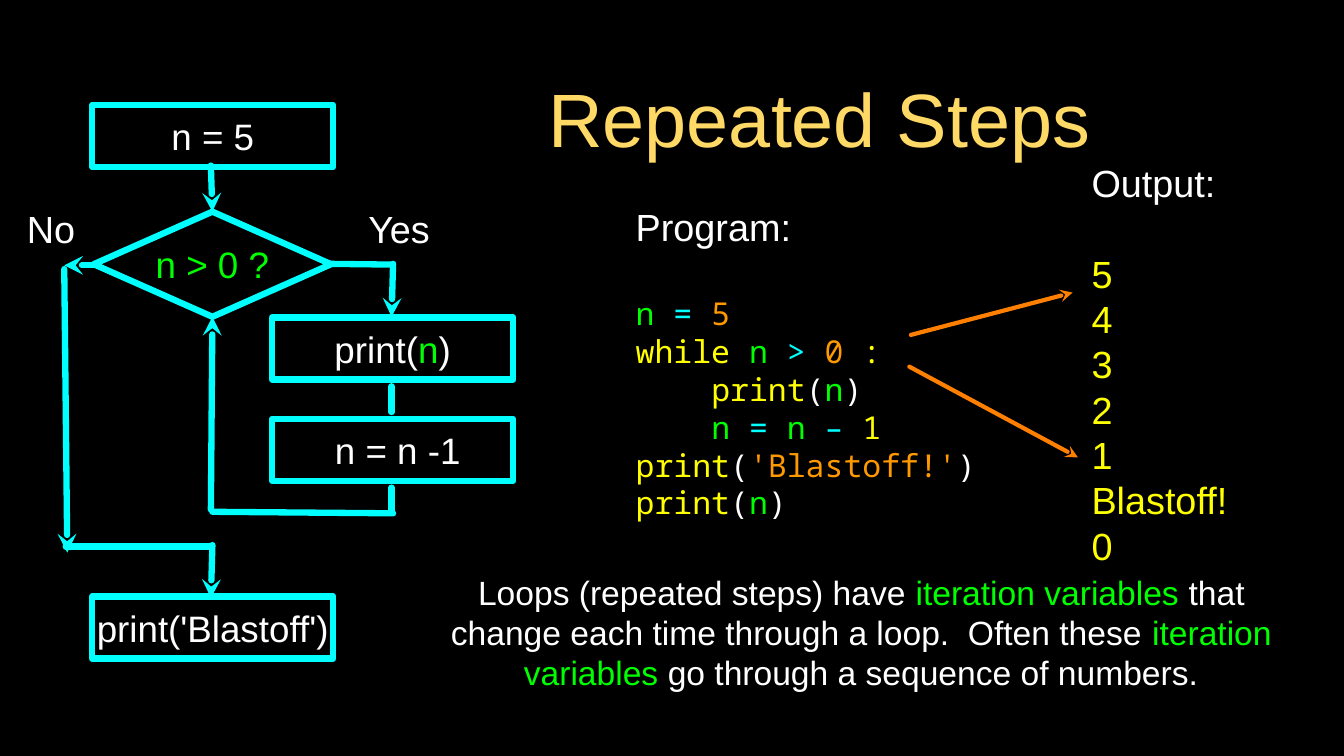
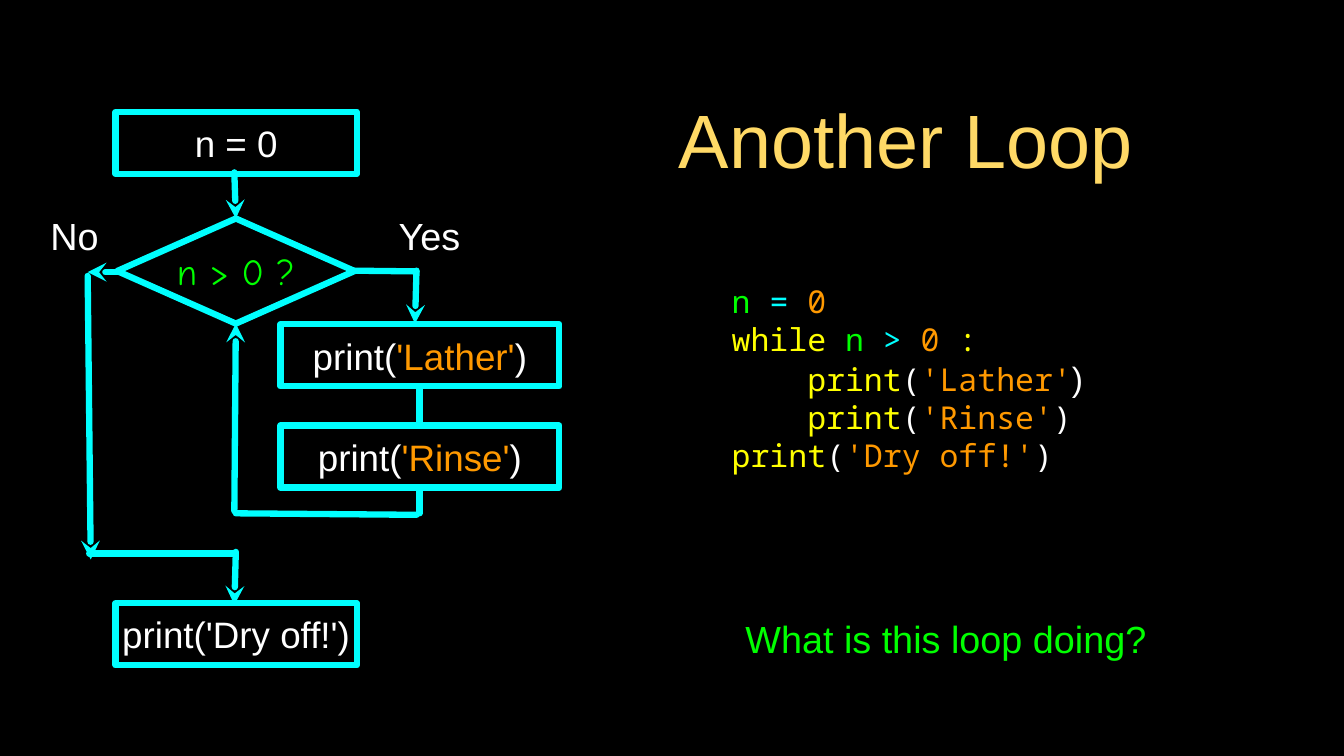
from lxml import etree
from pptx import Presentation, util as u
from pptx.dml.color import RGBColor
from pptx.enum import shapes, text
from pptx.oxml.ns import qn

COLORS = {
    "black": "000000", "white": "FFFFFF", "gold": "FFD966",
    "green": "00FF00", "cyan": "00FFFF", "orange": "FF9900",
    "yellow": "FFFF00", "pointer": "FF7F00",
}
# The slide is a grid of square cells, a tenth of an inch each.
COLUMNS, ROWS, CELL = 177.8, 100, u.Inches(0.1)
SANS, MONO, COMIC = "Arial", "Noto Sans Mono", "Comic Neue"
LEADING = 1.2
CENTER, LEFT = text.PP_ALIGN.CENTER, text.PP_ALIGN.LEFT
BOX, DIAMOND = shapes.MSO_SHAPE.RECTANGLE, shapes.MSO_SHAPE.DIAMOND


def cells(*lengths):
    """Turn grid lengths into slide lengths."""
    return [round(length * CELL) for length in lengths]


def color(name):
    """Look up a colour by name."""
    return RGBColor.from_string(COLORS[name])


def assign(target, **values):
    """Set several attributes of one object."""
    for name, value in values.items():
        setattr(target, name, value)


def style_line(line, name, width, arrow=False):
    """Give a line its colour, width, round joins and an optional arrowhead."""
    line.color.rgb = color(name)
    line.width = u.Pt(width)
    outline = line._ln
    outline.set("cap", "rnd")
    etree.SubElement(outline, qn("a:round"))
    if arrow:
        etree.SubElement(outline, qn("a:tailEnd"), type="stealth")


def write(shape, lines, size, font=SANS, align=CENTER, wrap=True, before=0):
    """Write lines of '[colour]words'; a leading tab indents a line."""
    frame = shape.text_frame
    assign(frame, word_wrap=wrap, vertical_anchor=text.MSO_ANCHOR.MIDDLE,
           margin_left=0, margin_right=0, margin_top=0, margin_bottom=0)
    for number, line in enumerate(lines):
        if number == 0:
            para = frame.paragraphs[0]
        else:
            para = frame.add_paragraph()
        add_line(para, line, size, font, align)
        if number == 1 and before:
            para.space_before = u.Pt(before)


def add_line(para, line, size, font, align):
    """Fill one paragraph with coloured spans."""
    assign(para, alignment=align, line_spacing=u.Pt(size * LEADING))
    if line.startswith("\t"):
        para._p.get_or_add_pPr().set("marL", str(u.Inches(1)))
    for part in line.split("[")[1:]:
        name, words = part.split("]")
        span = para.add_run()
        span.text = words
        assign(span.font, size=u.Pt(size), name=font)
        span.font.color.rgb = color(name)


def add_text(page, area, lines, size, **formats):
    """Place a text box."""
    box = page.shapes.add_textbox(*cells(*area))
    write(box, lines, size, **formats)
    return box


def add_step(page, kind, area, line, font=SANS):
    """Place an outlined flowchart step."""
    step = page.shapes.add_shape(kind, *cells(*area))
    step.shadow.inherit = False
    step.fill.background()
    style_line(step.line, "cyan", 6)
    write(step, [line], 35, font=font, wrap=False)


def add_link(page, start, end, arrow=False, name="cyan", width=6):
    """Draw a line, with an arrowhead at its end if asked."""
    link = page.shapes.add_connector(
        shapes.MSO_CONNECTOR.STRAIGHT, *cells(*start, *end))
    style_line(link.line, name, width, arrow)
    etree.SubElement(link._element.spPr, qn("a:effectLst"))


def add_title(page, area, words):
    """Place the slide title."""
    add_text(page, area, ["[gold]" + words], 72)


def add_flowchart(page, left, top, labels, steps, yes_width, turn, gap=0,
                  test_font=SANS):
    """Draw a while loop as a flowchart whose corner is at left, top.

    labels: start, test and end; steps: left, width, axis and two lines;
    turn: the row where the loop goes back; gap: space around step links.
    """
    def at(x, y):
        return left + x, top + y

    start, test, end = labels
    step_left, step_width, axis, body = steps
    height, pitch, first_row = 8.2, 13.4, 28.1
    second_row = first_row + pitch

    links = [
        ((25.1, 8), (25.3, 14.1), True),
        ((25.1, turn - 0.3), (25.3, 28), True),
        ((40.5, 21), (49.2, 21.1), False),
        ((49.2, 21), (49, 28), True),
        ((axis, first_row + height + gap), (axis, second_row - gap), False),
        ((axis, second_row + height + gap), (axis, turn), False),
        ((25.3, turn), (49.2, turn + 0.2), False),
        ((10.1, 21.2), (5.7, 21.2), True),
        ((5.7, 21.7), (6.1, 59.2), True),
        ((5.9, 58.4), (25.1, 58.4), False),
        ((25.3, 58.2), (25.1, 65.2), True),
    ]
    for tail, tip, arrow in links:
        add_link(page, at(*tail), at(*tip), arrow)

    add_step(page, DIAMOND, (*at(9.6, 14.1), 31.4, 13.9), test, test_font)
    for row, line in ((0, start), (65, end)):
        add_step(page, BOX, (*at(9.4, row), 31.9, height), line)
    for row, line in zip((first_row, second_row), body):
        add_step(page, BOX, (*at(step_left, row), step_width, height), line)

    for column, width, word in ((0, 7.9, "No"), (45, yes_width, "Yes")):
        add_text(page, (*at(column, 12.9), width, 6.8), ["[white]" + word], 36)


def add_listing(page, area, lines, heading=None):
    """Place program code, under a heading if there is one."""
    if heading is None:
        return add_text(page, area, lines, 30, font=MONO, align=LEFT)
    box = add_text(page, area, [heading] + lines, 30, font=MONO, align=LEFT,
                   before=36 * LEADING)
    para = box.text_frame.paragraphs[0]
    para.line_spacing = u.Pt(36 * LEADING)
    assign(para.runs[0].font, size=u.Pt(36), name=SANS)
    return box


def add_output(page, area, results):
    """Place the printed results under their heading."""
    lines = ["[white]Output:"] + ["[yellow]" + result for result in results]
    add_text(page, area, lines, 36, align=LEFT, before=36 * LEADING)


def repeated_steps(page):
    """Build the slide on counting down."""
    add_title(page, (51.8, 8.9, 113.2, 13.1), "Repeated Steps")
    add_listing(page, (84.1, 23.7, 46.3, 48.5), [
        "[green]n [cyan]= [orange]5",
        "[yellow]while [green]n [cyan]> [orange]0[yellow] :",
        "\t[yellow]print[white]([green]n[white])",
        "\t[green]n [cyan]= [green]n [cyan]–[yellow] 1",
        "[yellow]print[white]([orange]'Blastoff!'[white])",
        "[yellow]print[white]([green]n[white])",
    ], heading="[white]Program:")
    add_flowchart(
        page, 2.8, 13.9,
        ("[white]n = 5", "[green]n > 0 ?", "[white]print('Blastoff')"),
        (33.2, 31.9, 49, ("[white]print([green]n[white])",
                          "[white] n = n -1")),
        yes_width=10, turn=53.8, gap=0.9)
    add_output(page, (144.4, 21.9, 18.9, 52.4),
               ["5", "4", "3", "2", "1", "Blastoff!", "0"])
    for tail, tip in (((120.5, 44.3), (141.9, 38.7)),
                      ((120.3, 48.5), (142.6, 60.5))):
        add_link(page, tail, tip, True, "pointer", 4)
    add_text(page, (55.9, 74.5, 116.1, 18.2), [
        "[white]Loops (repeated steps) have [green]iteration variables "
        "[white]that change each time through a loop.  Often these "
        "[green]iteration variables [white]go through a sequence of numbers."
    ], 32)


def another_loop(page):
    """Build the slide on a loop that never runs."""
    add_title(page, (74.7, 8.9, 90.3, 18.8), "Another Loop")
    listing = add_listing(page, (96.8, 34.8, 54.9, 30.3), [
        "[green]n [cyan]= [orange]0",
        "[yellow]while [green]n [cyan]> [orange]0[yellow] :",
        "\t[yellow]print[white]([orange]'Lather'[white])",
        "\t[yellow]print[white]([orange]'Rinse'[white])",
        "[yellow]print[white]([orange]'Dry off!'[white])",
    ])
    lather = listing.text_frame.paragraphs[2]
    lather.line_spacing = u.Pt(32 * LEADING)
    assign(lather.runs[-1].font, size=u.Pt(32), name=SANS)
    add_flowchart(
        page, 5.9, 14.8,
        ("[white]n = 0", "[green]n > 0 ?", "[white]print('Dry off!')"),
        (31.2, 36.9, 49.6, ("[white]print([orange]'Lather'[white])",
                            "[white]print([orange]'Rinse'[white])")),
        yes_width=11.8, turn=53.1, test_font=COMIC)
    add_text(page, (90.7, 81.1, 68.9, 6.8),
             ["[green]What is this loop doing?"], 36)


deck = Presentation()
deck.slide_width, deck.slide_height = cells(COLUMNS, ROWS)
backdrop = deck.slide_master.background.fill
backdrop.solid()
backdrop.fore_color.rgb = color("black")
for build in (repeated_steps, another_loop):
    build(deck.slides.add_slide(deck.slide_layouts[6]))
deck.save("out.pptx")
